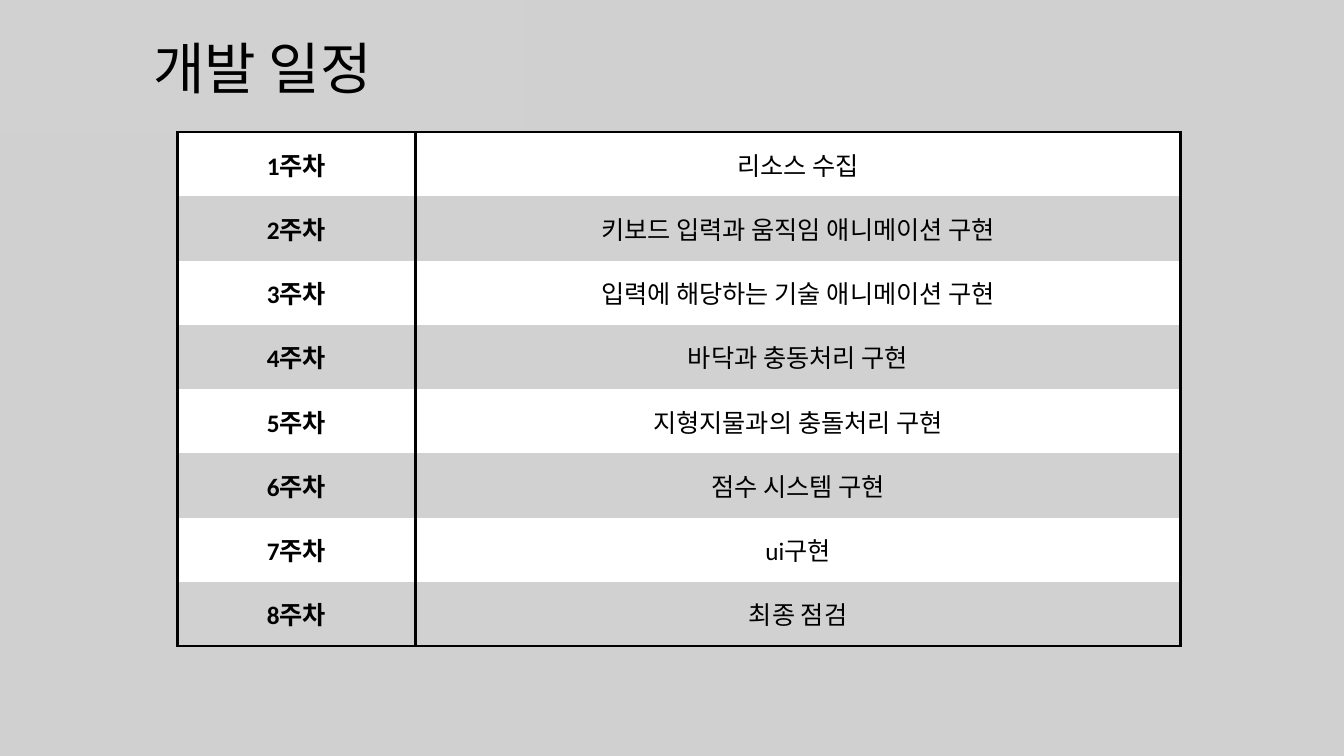
from pptx import Presentation
from pptx.dml.color import RGBColor
from pptx.enum.shapes import MSO_SHAPE
from pptx.enum.text import MSO_ANCHOR, PP_ALIGN
from pptx.oxml.ns import qn
from pptx.util import Inches, Pt
from lxml.etree import SubElement

TITLE = "개발 일정"
TASKS = [
    "리소스 수집",
    "키보드 입력과 움직임 애니메이션 구현",
    "입력에 해당하는 기술 애니메이션 구현",
    "바닥과 충동처리 구현",
    "지형지물과의 충돌처리 구현",
    "점수 시스템 구현",
    "ui구현",
    "최종 점검",
]
COLS = [2.36, 7.59]
LEFT, TOP, HIGH = 1.76, 1.31, 5.1
FONT = "Calibri"
BLACK = RGBColor(0x00, 0x00, 0x00)
WHITE = RGBColor(0xFF, 0xFF, 0xFF)
GRAY = RGBColor(0xD1, 0xD1, 0xD1)
BACK = RGBColor(0xD0, 0xD0, 0xD0)


def write(frame, text, size, bold=False):
    para = frame.paragraphs[0]
    para.alignment = PP_ALIGN.CENTER
    run = para.add_run()
    run.text = text
    run.font.name = FONT
    run.font.size = Pt(size)
    run.font.bold = bold
    run.font.color.rgb = BLACK


def edge(cell, sides):
    props = cell._tc.get_or_add_tcPr()
    for side in "LRTB":
        line = SubElement(props, qn(f"a:ln{side}"), w=str(Pt(2)))
        if side in sides:
            fill = SubElement(line, qn("a:solidFill"))
            SubElement(fill, qn("a:srgbClr"), val=str(BLACK))
        else:
            SubElement(line, qn("a:noFill"))


def add_title(slide):
    box = slide.shapes.add_shape(
        MSO_SHAPE.RECTANGLE, 0, 0, Inches(5.21), Inches(1.33))
    box.shadow.inherit = False
    box.fill.solid()
    box.fill.fore_color.rgb = GRAY
    box.line.fill.background()
    box.text_frame.vertical_anchor = MSO_ANCHOR.MIDDLE
    write(box.text_frame, TITLE, 40)


def add_plan(slide):
    count = len(TASKS)
    table = slide.shapes.add_table(
        count, len(COLS), Inches(LEFT), Inches(TOP),
        Inches(sum(COLS)), Inches(HIGH)).table
    table.first_row = False
    table.horz_banding = False
    for col, width in zip(table.columns, COLS):
        col.width = Inches(width)
    for i, task in enumerate(TASKS):
        table.rows[i].height = Inches(HIGH / count)
        sides = "LR" + "T" * (i == 0) + "B" * (i == count - 1)
        for j, text in enumerate([f"{i + 1}주차", task]):
            cell = table.cell(i, j)
            cell.vertical_anchor = MSO_ANCHOR.MIDDLE
            edge(cell, sides)
            cell.fill.solid()
            cell.fill.fore_color.rgb = GRAY if i % 2 else WHITE
            write(cell.text_frame, text, 18, j == 0)


def main():
    deck = Presentation()
    deck.slide_width = Inches(13.33)
    deck.slide_height = Inches(7.5)
    slide = deck.slides.add_slide(deck.slide_layouts[6])
    slide.background.fill.solid()
    slide.background.fill.fore_color.rgb = BACK
    add_title(slide)
    add_plan(slide)
    deck.save("out.pptx")


if __name__ == "__main__":
    main()
